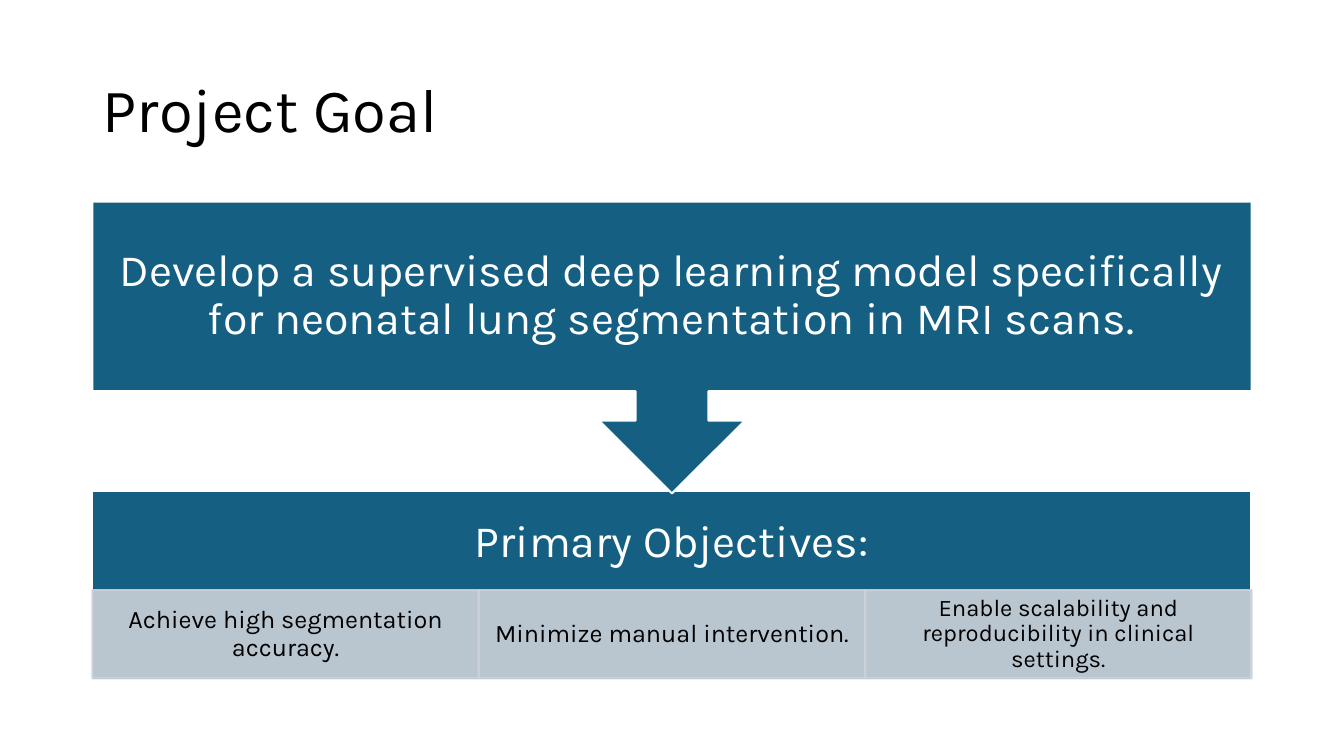
import pptx
import pptx.util
import pptx.dml.color
import pptx.enum.shapes
import pptx.enum.text
import pptx.oxml

RGBColor = pptx.dml.color.RGBColor
SHAPE = pptx.enum.shapes.MSO_SHAPE
ALIGN = pptx.enum.text.PP_ALIGN

BLUE = RGBColor(0x15, 0x60, 0x82)
GREY = RGBColor(0xCC, 0xD2, 0xD8)
WHITE = RGBColor(0xFF, 0xFF, 0xFF)
BLACK = RGBColor(0, 0, 0)

SCALE = 9525
WIDE, HIGH = 1280, 720
LEFT, SPAN = 88, 1104
GOALS = [
    ("Achieve high segmentation accuracy.", 18, (13, 3)),
    ("Minimize manual intervention.", 18, (13, 3)),
    ("Enable scalability and reproducibility in clinical settings.", 17, (12, 2)),
]


def px(count):
    """Turn px into EMU."""
    return pptx.util.Emu(count * SCALE)


def write(shape, text, size, color=BLACK, align=ALIGN.CENTER, inset=(24, 24)):
    """Put formatted text into a shape."""
    frame = shape.text_frame
    frame.word_wrap = True
    frame.vertical_anchor = pptx.enum.text.MSO_ANCHOR.MIDDLE
    frame.margin_left = frame.margin_right = px(inset[0])
    frame.margin_top = frame.margin_bottom = px(inset[1])
    para = frame.paragraphs[0]
    para.alignment = align
    para.line_spacing = 0.9
    run = para.add_run()
    run.text = text
    run.font.name = "Karla"
    run.font.size = pptx.util.Pt(size)
    run.font.color.rgb = color


def fade(fill, percent):
    """Set the opacity of a solid fill."""
    for tint in fill.iter(pptx.oxml.ns.qn("a:srgbClr")):
        alpha = tint.makeelement(pptx.oxml.ns.qn("a:alpha"), {"val": str(percent * 1000)})
        tint.append(alpha)


class Board:
    """Hold the style and the current slide."""

    def __init__(self, slide):
        self.shapes = slide.shapes
        self.edge = pptx.util.Pt(1.5)

    def label(self, box, text, size, **style):
        """Add a text box."""
        write(self.shapes.add_textbox(*map(px, box)), text, size, **style)

    def block(self, box, kind=SHAPE.RECTANGLE, fill=BLUE, line=WHITE):
        """Add a filled shape with an outline."""
        shape = self.shapes.add_shape(kind, *map(px, box))
        shape.shadow.inherit = False
        shape.fill.solid()
        shape.fill.fore_color.rgb = fill
        shape.line.color.rgb = line
        shape.line.width = self.edge
        return shape

    def tile(self, box, text, size, inset):
        """Add a translucent tile with text."""
        shape = self.block(box, fill=GREY, line=GREY)
        fade(shape.element.spPr, 90)
        write(shape, text, size, inset=inset)

    def arrow(self, box):
        """Add a callout that points down."""
        shape = self.block(box, kind=SHAPE.UP_ARROW_CALLOUT)
        shape.rotation = 180


def main():
    """Build and save the slide."""
    deck = pptx.Presentation()
    deck.slide_width, deck.slide_height = px(WIDE), px(HIGH)
    board = Board(deck.slides.add_slide(deck.slide_layouts[6]))

    board.label((LEFT, 38, SPAN, 139), "Project Goal", 44,
                align=ALIGN.LEFT, inset=(10, 5))
    board.block((LEFT, 468, SPAN, 180))
    board.label((LEFT, 468, SPAN, 98), "Primary Objectives:", 32, color=WHITE)

    width = SPAN // len(GOALS)
    for index, (text, size, inset) in enumerate(GOALS):
        board.tile((LEFT + index * width, 562, width, 84), text, size, inset)

    board.arrow((LEFT, 192, SPAN, 278))
    board.label((LEFT, 192, SPAN, 180),
                "Develop a supervised deep learning model specifically "
                "for neonatal lung segmentation in MRI scans.",
                32, color=WHITE)
    deck.save("out.pptx")


if __name__ == "__main__":
    main()
